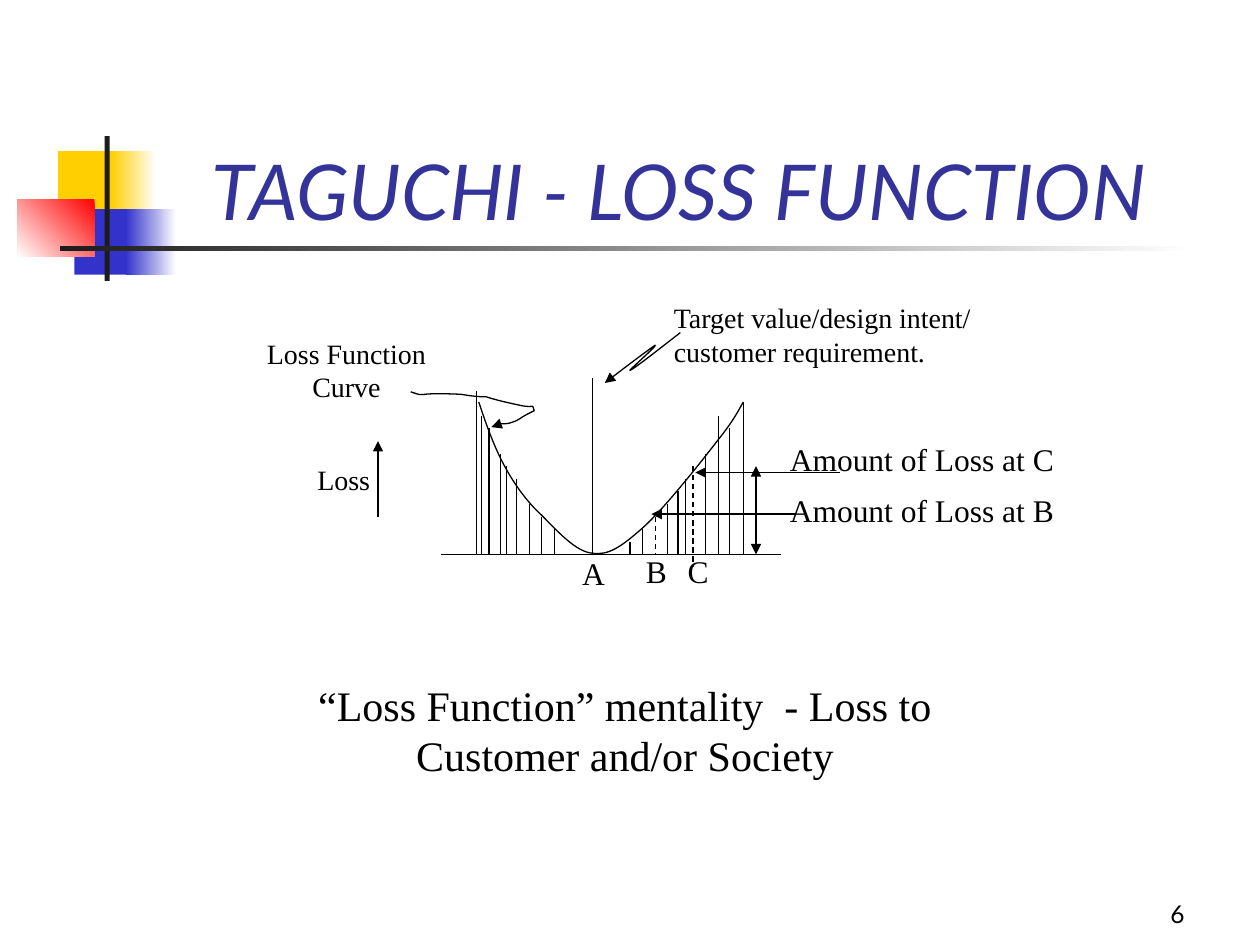
from lxml import etree
from pptx import Presentation
from pptx.dml.color import RGBColor
from pptx.enum import dml, shapes, text
from pptx.oxml.ns import qn
from pptx.util import Inches, Pt

BLACK = RGBColor(0x00, 0x00, 0x00)
WHITE = RGBColor(0xFF, 0xFF, 0xFF)
CHARCOAL = RGBColor(0x1C, 0x1C, 0x1C)
YELLOW = RGBColor(0xFF, 0xCF, 0x01)
BLUE = RGBColor(0x33, 0x33, 0xCC)
RED = RGBColor(0xFF, 0x00, 0x00)
NAVY = RGBColor(0x33, 0x33, 0x99)

SERIF = "Times New Roman"
SANS = "Lato"
CENTER = text.PP_ALIGN.CENTER
RIGHT = text.PP_ALIGN.RIGHT
BOTTOM = text.MSO_ANCHOR.BOTTOM


def add_text(slide, words, left, top, width, height, size=16, font=SERIF,
             color=BLACK, italic=False, align=text.PP_ALIGN.LEFT,
             anchor=text.MSO_ANCHOR.TOP, before=0, right_inset=0.1):
    frame = slide.shapes.add_textbox(
        Inches(left), Inches(top), Inches(width), Inches(height)).text_frame
    frame.word_wrap = True
    frame.vertical_anchor = anchor
    frame.margin_right = Inches(right_inset)
    paragraph = frame.paragraphs[0]
    paragraph.alignment = align
    paragraph.space_before = Pt(before)
    run = paragraph.add_run()
    run.text = words
    run.font.size = Pt(size)
    run.font.name = font
    run.font.italic = italic
    run.font.color.rgb = color


def add_block(slide, left, top, width, height, start, end=None, angle=180):
    block = slide.shapes.add_shape(
        shapes.MSO_SHAPE.RECTANGLE,
        Inches(left), Inches(top), Inches(width), Inches(height))
    block.shadow.inherit = False
    block.line.fill.background()
    if end is None:
        block.fill.solid()
        block.fill.fore_color.rgb = start
        return
    block.fill.gradient()
    block.fill.gradient_angle = angle
    for stop, color in zip(block.fill.gradient_stops, (start, end)):
        stop.color.rgb = color


def style_stroke(stroke, head=False, tail=False, dashed=False):
    stroke.line.color.rgb = BLACK
    stroke.line.width = Pt(0.75)
    if dashed:
        stroke.line.dash_style = dml.MSO_LINE.DASH
    outline = stroke.element.spPr.find(qn("a:ln"))
    for tag, wanted in (("a:headEnd", head), ("a:tailEnd", tail)):
        if wanted:
            etree.SubElement(outline, qn(tag), type="triangle")


def add_line(slide, x1, y1, x2, y2, **ends):
    line = slide.shapes.add_connector(
        shapes.MSO_CONNECTOR.STRAIGHT,
        Inches(x1), Inches(y1), Inches(x2), Inches(y2))
    style_stroke(line, **ends)
    etree.SubElement(line.element.spPr, qn("a:effectLst"))


def add_curve(slide, left, top, points, **ends):
    start, *controls = [(Inches(left + x), Inches(top + y)) for x, y in points]
    builder = slide.shapes.build_freeform(*start)
    builder.add_line_segments(controls, close=False)
    curve = builder.convert_to_shape()
    outline = next(curve.element.iter(qn("a:moveTo"))).getparent()
    legs = outline.findall(qn("a:lnTo"))
    for trio in zip(legs[0::3], legs[1::3], legs[2::3]):
        bend = etree.SubElement(outline, qn("a:cubicBezTo"))
        for leg in trio:
            bend.append(leg[0])
            outline.remove(leg)
    curve.shadow.inherit = False
    curve.fill.background()
    style_stroke(curve, **ends)


def draw_ornament(slide, left, top):
    add_block(slide, left + 0.32, top + 0.12, 0.48, 0.52, YELLOW)
    add_block(slide, left + 0.74, top + 0.12, 0.36, 0.52, WHITE, YELLOW)
    add_block(slide, left + 0.45, top + 0.58, 0.46, 0.52, BLUE)
    add_block(slide, left + 0.86, top + 0.58, 0.4, 0.52, WHITE, BLUE)
    add_block(slide, left, top + 0.5, 0.61, 0.46, RED, WHITE, angle=225)
    add_block(slide, left + 0.69, top, 0.04, 1.15, CHARCOAL)
    add_block(slide, left + 0.34, top + 0.87, 9, 0.04, WHITE, CHARCOAL)


def draw_loss_curve(slide, left, top):
    base = top + 2.1
    add_line(slide, left + 1.8, base, left + 4.5, base)
    add_curve(slide, left, top, [
        (2.1, 0.89), (2.16, 1.07), (2.22, 1.24), (2.3, 1.39),
        (2.38, 1.54), (2.48, 1.68), (2.6, 1.79),
        (2.72, 1.91), (2.87, 2.08), (3, 2.09),
        (3.13, 2.11), (3.23, 2.04), (3.4, 1.89),
        (3.57, 1.74), (3.87, 1.36), (4, 1.19),
        (4.13, 1.03), (4.17, 0.94), (4.2, 0.89)])
    hatches = [
        (2.08, 1.3), (2.12, 1.1), (2.18, 1), (2.27, 0.8), (2.32, 0.7),
        (2.4, 0.6), (2.5, 0.4), (2.6, 0.3), (2.7, 0.2), (3, 1.4),
        (3.3, 0.1), (3.4, 0.2), (3.6, 0.4), (3.68, 0.5), (3.74, 0.6),
        (3.9, 0.8), (4, 1.1), (4.09, 1), (4.2, 1.2)]
    for x, height in hatches:
        add_line(slide, left + x, base - height, left + x, base)
    for x, height, drop in ((3.5, 0.3, 0), (3.8, 0.7, 0.1)):
        add_line(slide, left + x, base - height, left + x, base + drop, dashed=True)


def draw_callouts(slide, left, top):
    for letter, x, y in (("A", 2.8, 2.05), ("B", 3.3, 2.03), ("C", 3.63, 2.03)):
        add_text(slide, letter, left + x, top + y, 0.42, 0.4,
                 size=18, align=CENTER, before=11.2)
    for letter, x, y, label_y in (("C", 3.82, 1.45, 1.14), ("B", 3.47, 1.78, 1.55)):
        add_line(slide, left + x, top + y, left + x + 1.15, top + y, head=True)
        add_text(slide, f"Amount of Loss at {letter}",
                 left + 4.47, top + label_y, 2.42, 0.4, size=18)
    add_line(slide, left + 4.3, top + 1.4, left + 4.3, top + 2.1, head=True, tail=True)
    add_line(slide, left + 1.3, top + 1.2, left + 1.3, top + 1.8, head=True)
    add_curve(slide, left, top, [
        (1.56, 0.81), (1.71, 0.86), (1.54, 0.81), (1.96, 0.83),
        (2.02, 0.84), (2.09, 0.85), (2.16, 0.85),
        (2.25, 0.88), (2.35, 0.9), (2.44, 0.92),
        (2.55, 0.94), (2.52, 0.9), (2.54, 0.96),
        (2.52, 0.97), (2.5, 0.98), (2.48, 0.99),
        (2.44, 1.01), (2.41, 1.04), (2.37, 1.05),
        (2.32, 1.07), (2.24, 1.05), (2.2, 1.09)], tail=True)
    add_curve(slide, left, top, [
        (3.1, 0.74), (3.28, 0.6), (3.47, 0.46), (3.5, 0.44),
        (3.53, 0.43), (3.27, 0.66), (3.3, 0.64),
        (3.33, 0.63), (3.52, 0.48), (3.7, 0.34)], head=True)
    add_text(slide, "Loss Function Curve", left + 0.05, top + 0.32, 2, 0.64,
             align=CENTER, before=10)
    add_text(slide, "Loss", left + 0.72, top + 1.32, 0.83, 0.37, before=10)
    add_text(slide, "Target value/design intent/ customer requirement.",
             left + 3.55, top + 0.04, 3.25, 0.64)


def main():
    deck = Presentation()
    deck.slide_width, deck.slide_height = Inches(10), Inches(7.5)
    slide = deck.slides.add_slide(deck.slide_layouts[6])
    draw_ornament(slide, 0.14, 1.08)
    add_text(slide, "TAGUCHI - LOSS FUNCTION", 1.26, 1.26, 8.52, 0.66, size=44,
             font=SANS, color=NAVY, italic=True, align=RIGHT, anchor=BOTTOM,
             right_inset=0.68)
    add_text(slide, "“Loss Function” mentality  - Loss to Customer and/or Society",
             2.17, 5.34, 5.58, 0.9, size=24, align=CENTER, before=15)
    draw_loss_curve(slide, 1.7, 2.3)
    draw_callouts(slide, 1.7, 2.3)
    add_text(slide, "6", 7.42, 6.92, 2.08, 0.5, size=14, font=SANS,
             align=RIGHT, anchor=BOTTOM)
    deck.save("out.pptx")


if __name__ == "__main__":
    main()
